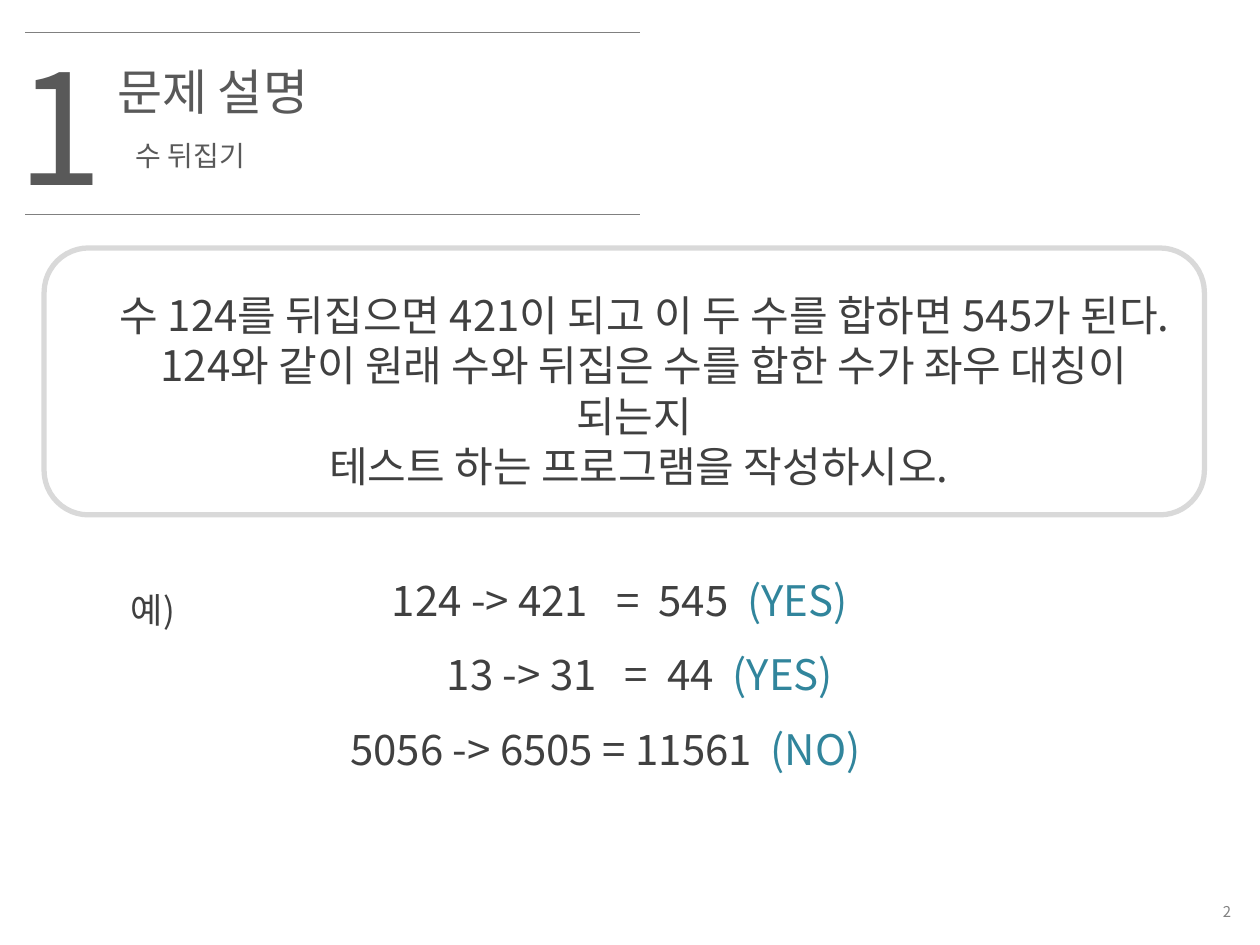
from lxml.etree import SubElement
from pptx import Presentation
from pptx.dml.color import RGBColor
from pptx.enum.shapes import MSO_CONNECTOR, MSO_SHAPE
from pptx.enum.text import MSO_ANCHOR, PP_ALIGN
from pptx.oxml.ns import qn
from pptx.util import Cm, Pt

FONT = "Noto Sans CJK KR"
HUES = {"head": "595959", "body": "404040", "mark": "31859C",
        "rule": "808080", "edge": "D9D9D9"}


def paint(hue):
    return RGBColor.from_string(HUES[hue])


def apply(item, form):
    for name, value in form.items():
        setattr(item, name, value)


def write(slide, box, lines, size, **form):
    frame = slide.shapes.add_textbox(*map(Cm, box)).text_frame
    apply(frame, {"word_wrap": True,
                  "vertical_anchor": form.pop("anchor", MSO_ANCHOR.TOP)})
    for i, runs in enumerate(lines):
        para = frame.paragraphs[0] if i == 0 else frame.add_paragraph()
        apply(para, form)
        for text, hue in runs:
            run = para.add_run()
            run.text = text
            apply(run.font, {"name": FONT, "size": Pt(size)})
            run.font.color.rgb = paint(hue)
            east = SubElement(run.font._element, qn("a:ea"))
            east.set("typeface", FONT)


def rule(slide, left, top, width):
    line = slide.shapes.add_connector(
        MSO_CONNECTOR.STRAIGHT, Cm(left), Cm(top), Cm(left + width), Cm(top))
    line.line.width = Pt(0.75)
    line.line.color.rgb = paint("rule")
    SubElement(line._element.spPr, qn("a:effectLst"))


def header(slide, box, digit, title, topic):
    left, top, width, height = box
    for y in (top, top + height):
        rule(slide, left, y, width)
    write(slide, (left - 0.4, top - 0.15, 7.6, 4.01), [[(digit, "head")]], 88)
    write(slide, (left + 1.6, top + 0.46, 11.4, 1.45), [[(title, "head")]], 28)
    write(slide, (left + 1.98, top + 2.08, 11.6, 0.89), [[(topic, "head")]],
          16, line_spacing=Pt(17))


def problem(slide, box, lines):
    left, top, width, height = box
    panel = slide.shapes.add_shape(MSO_SHAPE.ROUNDED_RECTANGLE, *map(Cm, box))
    panel.shadow.inherit = False
    panel.fill.background()
    panel.line.width = Pt(3)
    panel.line.color.rgb = paint("edge")
    write(slide, (left + 1.22, top + 0.71, width - 1.85, height - 1.02),
          [[(line, "body")] for line in lines], 24, alignment=PP_ALIGN.CENTER)


def samples(slide, box, label, rows):
    left, top, width, height = box
    write(slide, (left, top + 0.28, 2.77, 1.12), [[(label, "body")]], 20,
          alignment=PP_ALIGN.CENTER)
    step = height / len(rows)
    for i, (shift, sums, mark) in enumerate(rows):
        write(slide, (left + shift, top + i * step, width - shift, 1.27),
              [[(sums, "body"), (mark, "mark")]], 24,
              alignment=PP_ALIGN.CENTER)


def number(slide, box, text):
    write(slide, box, [[(text, "rule")]], 8.5,
          alignment=PP_ALIGN.RIGHT, anchor=MSO_ANCHOR.MIDDLE)


def main():
    deck = Presentation()
    apply(deck, {"slide_width": Cm(25.4), "slide_height": Cm(19.05)})
    slide = deck.slides.add_slide(deck.slide_layouts[6])
    number(slide, (19.71, 18.03, 5.36, 0.69), "2")
    problem(slide, (0.89, 5, 23.39, 5.38), [
        "수 124를 뒤집으면 421이 되고 이 두 수를 합하면 545가 된다. "
        "124와 같이 원래 수와 뒤집은 수를 합한 수가 좌우 대칭이 되는지 ",
        "테스트 하는 프로그램을 작성하시오."])
    header(slide, (0.51, 0.66, 12.39, 3.66), "1", "문제 설명", "수 뒤집기")
    samples(slide, (1.7, 11.46, 17.6, 4.49), "예)", [
        (3.99, "124 -> 421   =  545  ", "(YES)"),
        (4.8, "13 -> 31   =  44  ", "(YES)"),
        (3.41, "5056 -> 6505 = 11561  ", "(NO)")])
    deck.save("out.pptx")


if __name__ == "__main__":
    main()
